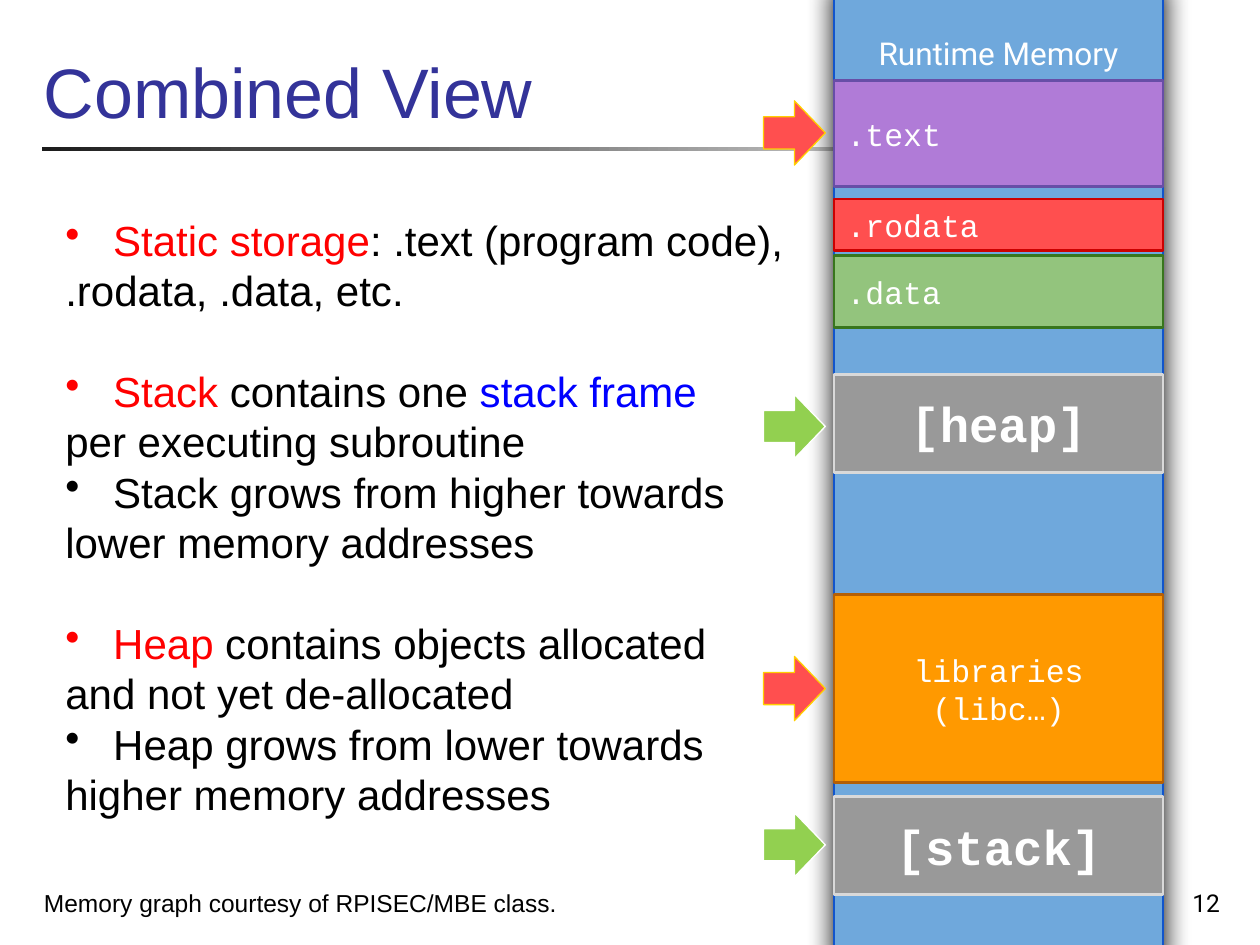
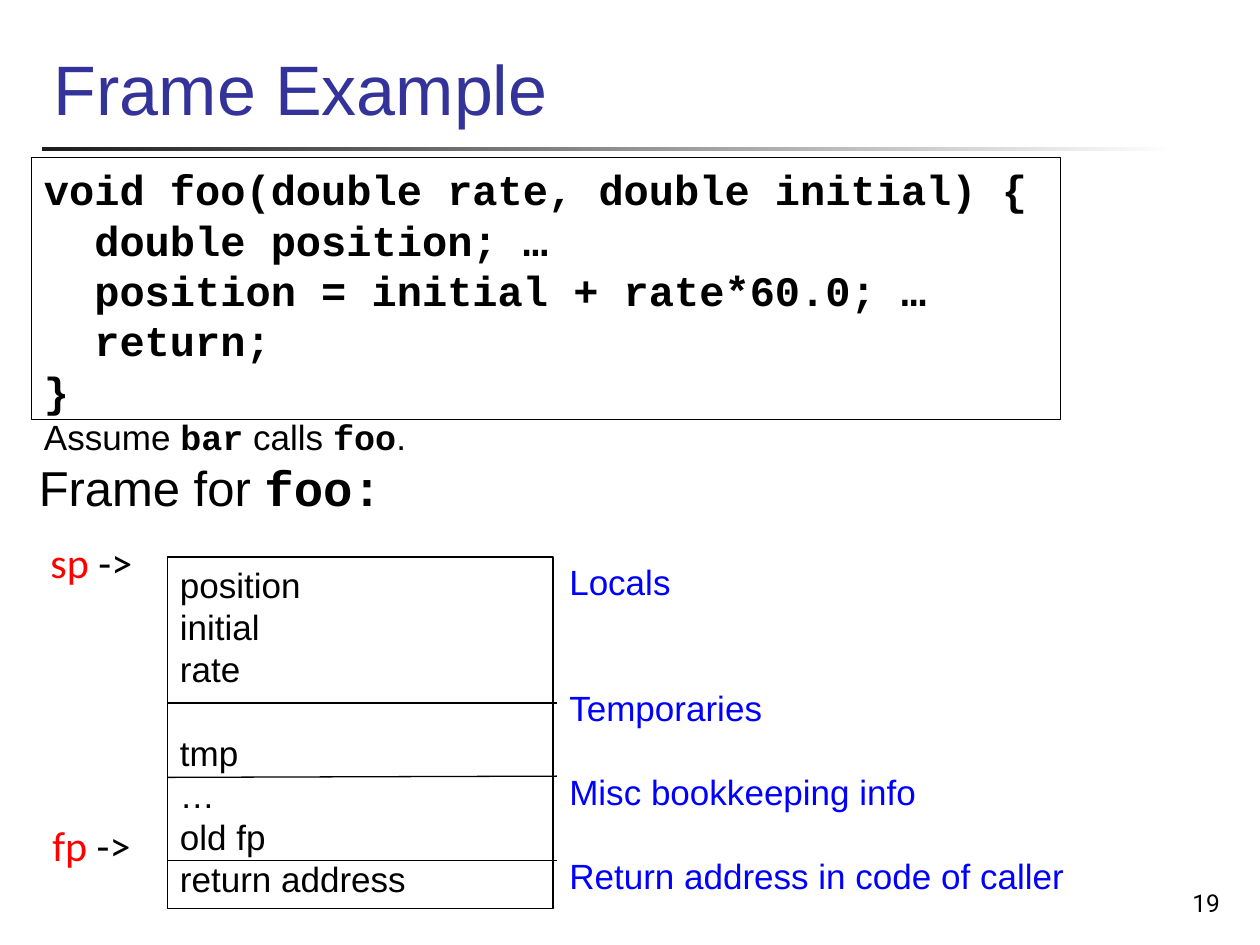
from pptx import Presentation
from pptx.dml.color import RGBColor
from pptx.enum.shapes import MSO_CONNECTOR, MSO_SHAPE
from pptx.enum.text import MSO_ANCHOR, PP_ALIGN
from pptx.oxml.ns import qn
from pptx.util import Inches, Pt
from lxml.etree import SubElement

paint = RGBColor.from_string
BLACK, WHITE, RED, BLUE, NAVY = "000000", "FFFFFF", "FF0000", "0000FF", "333399"
LINE_HEIGHT = 1.2
CODE = {"name": "Courier New", "bold": True}


def place(page, at, kind=None, fill=None, line=None, weight=1.5):
    area = [Inches(length) for length in at]
    if kind is None:
        return page.shapes.add_textbox(*area)
    shape = page.shapes.add_shape(kind, *area)
    shape.shadow.inherit = False
    if fill:
        shape.fill.solid()
        shape.fill.fore_color.rgb = paint(fill)
    else:
        shape.fill.background()
    if line:
        shape.line.color.rgb = paint(line)
        shape.line.width = Pt(weight)
    else:
        shape.line.fill.background()
    return shape


def write(box, rows, size, name="Arial", color=BLACK, bold=False,
          align=PP_ALIGN.LEFT, anchor=MSO_ANCHOR.TOP, inset=0.05):
    frame = box.text_frame
    settings = {"word_wrap": True, "vertical_anchor": anchor,
                "margin_left": Inches(0.1), "margin_right": Inches(0.1),
                "margin_top": Inches(inset), "margin_bottom": Inches(inset)}
    for key, value in settings.items():
        setattr(frame, key, value)
    for index, row in enumerate(rows):
        row = {"spans": [(row, {})]} if isinstance(row, str) else row
        para = frame.paragraphs[0] if index == 0 else frame.add_paragraph()
        para.alignment = align
        height = LINE_HEIGHT * row.get("size", size)
        para.line_spacing = Pt(height)
        para.space_before = Pt(height * row.get("gap", 0))
        if row.get("bullet"):
            properties = para._p.get_or_add_pPr()
            properties.set("marL", str(Inches(0.38)))
            properties.set("indent", str(-Inches(0.38)))
            SubElement(properties, qn("a:buChar"), char="•")
        for text, changes in row["spans"]:
            span = para.add_run()
            span.text = text
            style = {"name": name, "size": row.get("size", size), "bold": bold, "color": color}
            style.update(changes)
            span.font.color.rgb = paint(style.pop("color"))
            style["size"] = Pt(style["size"])
            for key, value in style.items():
                setattr(span.font, key, value)


deck = Presentation()
deck.slide_width, deck.slide_height = Inches(10), Inches(7.5)
pages = []
for title, title_at, number in [
    ("Combined View", (0.25, 0, 9.52, 1.1), "12"),
    ("Frame Example", (0.33, -0.17, 8.5, 1.25), "19"),
]:
    page = deck.slides.add_slide(deck.slide_layouts[6])
    rule = place(page, (0.33, 1.17, 9, 0.03), MSO_SHAPE.RECTANGLE)
    rule.fill.gradient()
    rule.fill.gradient_angle = 0
    for stop, position, shade in zip(rule.fill.gradient_stops, (0, 1), ("1C1C1C", WHITE)):
        stop.position = position
        stop.color.rgb = paint(shade)
    write(place(page, title_at), [title], 40, color=NAVY, anchor=MSO_ANCHOR.BOTTOM)
    write(place(page, (7.7, 6.83, 2.08, 0.5)), [number], 14, "Roboto",
          align=PP_ALIGN.RIGHT, anchor=MSO_ANCHOR.BOTTOM)
    pages.append(page)
memory_page, frame_page = pages

write(place(memory_page, (0.25, 6.83, 5.17, 0.5)),
      ["Memory graph courtesy of RPISEC/MBE class."], 14, anchor=MSO_ANCHOR.BOTTOM)

memory_left, memory_width = 6.62, 2.61
column = place(memory_page, (memory_left, -0.13, memory_width, 7.77),
               MSO_SHAPE.RECTANGLE, "6FA8DC", "1155CC")
shadow = SubElement(column._element.spPr.find(qn("a:effectLst")), qn("a:outerShdw"),
                    blurRad=str(Pt(15.8)), dist=str(Pt(1.5)), dir="5400000",
                    algn="ctr", rotWithShape="0")
SubElement(shadow, qn("a:srgbClr"), val=BLACK)
write(place(memory_page, (memory_left, 0, memory_width, 0.84)), ["Runtime Memory"], 18,
      "Roboto", WHITE, align=PP_ALIGN.CENTER, anchor=MSO_ANCHOR.MIDDLE, inset=0.1)

for label, top, height, fill, line, size, align in [
    (".rodata", 1.58, 0.41, "FF4F4F", "CC0000", 18, PP_ALIGN.LEFT),
    ("[heap]", 2.97, 0.78, "999999", "D9D9D9", 28, PP_ALIGN.CENTER),
    ("[stack]", 6.32, 0.78, "999999", "D9D9D9", 28, PP_ALIGN.CENTER),
    (".text", 0.64, 0.84, "B07BD7", "674EA7", 18, PP_ALIGN.LEFT),
    ("libraries (libc…)", 4.72, 1.49, "FF9900", "B45F06", 18, PP_ALIGN.CENTER),
    (".data", 2.03, 0.57, "93C47D", "38761D", 18, PP_ALIGN.LEFT),
]:
    segment = place(memory_page, (memory_left, top, memory_width, height),
                    MSO_SHAPE.RECTANGLE, fill, line)
    write(segment, [label], size, "Courier New", WHITE, size == 28,
          align, MSO_ANCHOR.MIDDLE, 0.1)

for top, fill, line in [
    (0.8, "FF4F4F", "FFCF01"),
    (5.21, "FF4F4F", "FFCF01"),
    (3.13, "92D050", WHITE),
    (6.45, "92D050", WHITE),
]:
    place(memory_page, (6.06, top, 0.49, 0.51), MSO_SHAPE.RIGHT_ARROW, fill, line, 0.75)

write(place(memory_page, (0.42, 1.65, 5.95, 4.95)), [
    {"bullet": True, "spans": [("Static storage", {"color": RED}),
                               (": .text (program code),", {})]},
    ".rodata, .data, etc.",
    {"bullet": True, "gap": 1, "spans": [("Stack", {"color": RED}), (" contains one ", {}),
                                         ("stack frame", {"color": BLUE})]},
    "per executing subroutine",
    {"bullet": True, "spans": [("Stack grows from higher towards", {})]},
    "lower memory addresses",
    {"bullet": True, "gap": 1, "spans": [("Heap", {"color": RED}),
                                         (" contains objects allocated", {})]},
    "and not yet de-allocated",
    {"bullet": True, "spans": [("Heap grows from lower towards", {})]},
    "higher memory addresses",
], 24)

stack_frame = place(frame_page, (1.33, 4.42, 3.06, 2.79), MSO_SHAPE.RECTANGLE,
                    line=BLACK, weight=0.75)
write(stack_frame, ["position", "initial", "rate", {"gap": 1, "spans": [("tmp", {})]},
                    "…", "old fp", "return address"], 20)

plain = {"name": "Arial", "bold": False}
write(place(frame_page, (0.25, 1.25, 8.09, 2.46)), [
    "void foo(double rate, double initial) {",
    "  double position; …",
    "  position = initial + rate*60.0; …",
    "  return;",
    "}",
    {"size": 20, "spans": [("Assume ", plain), ("bar", {}), (" calls ", plain),
                           ("foo", {}), (".", plain)]},
], 24, **CODE)
place(frame_page, (0.25, 1.25, 8.17, 2.08), MSO_SHAPE.RECTANGLE, line=BLACK, weight=0.75)

write(place(frame_page, (4.42, 4.4, 4.67, 2.79)), [
    {"gap": gap, "spans": [(label, {})]}
    for label, gap in [("Locals", 0), ("Temporaries", 2), ("Misc bookkeeping info", 1),
                       ("Return address in code of caller", 1)]
], 20, color=BLUE)

write(place(frame_page, (0.21, 3.58, 2.96, 0.57)),
      [{"spans": [("Frame for ", {}), ("foo:", CODE)]}], 28)

for start, end in [(6.83, 6.83), (6.17, 6.16), (5.58, 5.58)]:
    divider = frame_page.shapes.add_connector(
        MSO_CONNECTOR.STRAIGHT, Inches(1.33), Inches(start), Inches(4.42), Inches(end))
    divider.line.color.rgb = paint(BLACK)
    divider.line.width = Pt(0.75)
    SubElement(divider._element.spPr, qn("a:effectLst"))

for pointer, top in [("sp", 4.17), ("fp", 6.42)]:
    write(place(frame_page, (0.12, top, 1.21, 0.57)),
          [{"spans": [(pointer, {"color": RED}), (" ->", {})]}], 24, "Calibri",
          align=PP_ALIGN.CENTER, anchor=MSO_ANCHOR.MIDDLE, inset=0.1)

deck.save("out.pptx")
